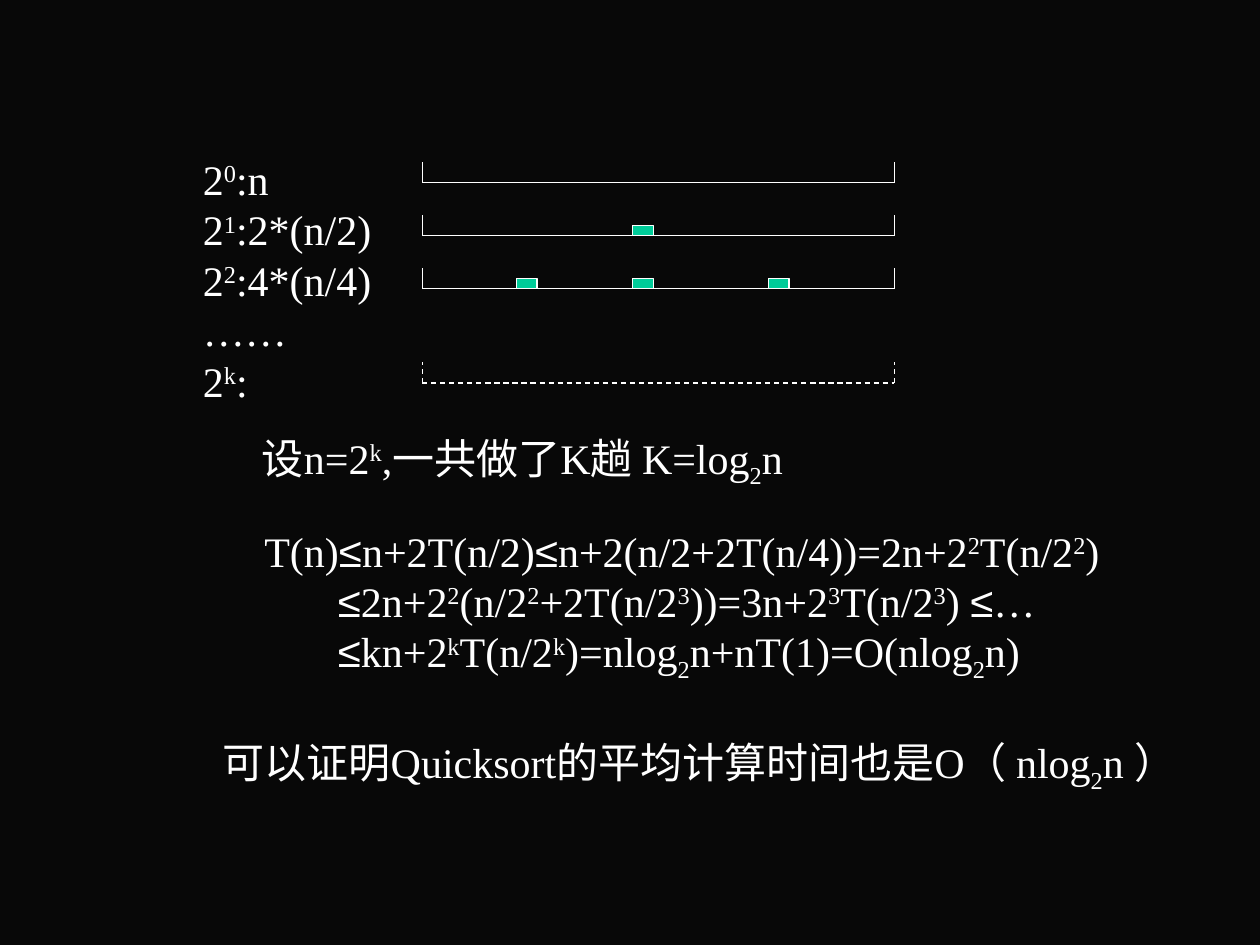
"""Build the slide on the recursion levels and running time of Quicksort."""
from lxml import etree
from pptx import Presentation
from pptx.dml.color import RGBColor
from pptx.enum.dml import MSO_LINE
from pptx.enum.shapes import MSO_CONNECTOR as CONN, MSO_SHAPE as SHAPE
from pptx.enum.text import MSO_AUTO_SIZE as AUTO
from pptx.oxml.ns import qn
from pptx.util import Cm, Pt

rgb = RGBColor.from_string
BASELINES = {"^": "30000", "_": "-25000"}
FONT = {"size": Pt(24), "name": "Times New Roman"}
LEFT, RIGHT, TICK = 8.51, 18.03, 0.42
BLOCK_W, BLOCK_H = 0.42, 0.21


def add_text(shapes, box, lines, wrap=False, indent=0):
    """Add a text box; runs are split by |, with ^ for superscript and _ for subscript."""
    tf = shapes.add_textbox(*map(Cm, box)).text_frame
    tf.word_wrap, tf.auto_size = wrap, AUTO.SHAPE_TO_FIT_TEXT
    for i, line in enumerate(lines):
        p = tf.add_paragraph() if i else tf.paragraphs[0]
        if i and indent:
            p._p.get_or_add_pPr().set("marL", str(Cm(indent)))
        for part in line.split("|"):
            r = p.add_run()
            r.text = part.lstrip("^_")
            for key, value in FONT.items():
                setattr(r.font, key, value)
            r.font.color.rgb = rgb("FFFFFF")
            if part == "≤":
                r.font.name = "Arial"
            if part[0] in BASELINES:
                r._r.get_or_add_rPr().set("baseline", BASELINES[part[0]])


def set_line(sp, dash=None):
    """Give a shape or connector a thin white line."""
    sp.line.color.rgb = rgb("FFFFFF")
    sp.line.width = Pt(0.75)
    if dash:
        sp.line.dash_style = dash


prs = Presentation()
prs.slide_width, prs.slide_height = Cm(25.4), Cm(19.05)
s = prs.slides.add_slide(prs.slide_layouts[6])
s.background.fill.solid()
s.background.fill.fore_color.rgb = rgb("080808")

levels = s.shapes.add_group_shape().shapes
add_text(levels, (3.84, 2.97, 3.91, 5.33),
         ["2|^0|:n", "2|^1|:2*(n/2)", "2|^2|:4*(n/4)", "……", "2|^k|:"])

rows = [
    (3.68, [], None),
    (4.75, [12.75], None),
    (5.82, [12.75, 10.41, 15.49], None),
    (7.72, [], MSO_LINE.DASH),
]
for y, pivots, dash in rows:
    for x1, x2, y2 in [(LEFT, RIGHT, y), (LEFT, LEFT, y - TICK), (RIGHT, RIGHT, y - TICK)]:
        c = levels.add_connector(CONN.STRAIGHT, Cm(x1), Cm(y), Cm(x2), Cm(y2))
        set_line(c, dash)
        etree.SubElement(c._element.spPr, qn("a:effectLst"))
    for x in pivots:
        sp = levels.add_shape(SHAPE.RECTANGLE, Cm(x), Cm(y - BLOCK_H), Cm(BLOCK_W), Cm(BLOCK_H))
        sp.shadow.inherit = False
        sp.fill.solid()
        sp.fill.fore_color.rgb = rgb("00CC99")
        set_line(sp)

add_text(s.shapes, (5.03, 8.59, 13.21, 1.42),
         ["设n=2|^k|,一共做了K趟 K=log|_2|n"], wrap=True)
add_text(s.shapes, (5.08, 10.46, 17.75, 3.45), [
    "T(n)|≤|n+2T(n/2)|≤|n+2(n/2+2T(n/4))=2n+2|^2|T(n/2|^2|)",
    "≤|2n+2|^2|(n/2|^2|+2T(n/2|^3|))=3n+2|^3|T(n/2|^3|) |≤|…",
    "≤|kn+2|^k|T(n/2|^k|)=nlog|_2|n+nT(1)=O(nlog|_2|n)",
], indent=1.48)
add_text(s.shapes, (4.24, 14.73, 20.96, 1.42),
         ["可以证明Quicksort的平均计算时间也是O（ nlog|_2|n ）"])

prs.save("out.pptx")
